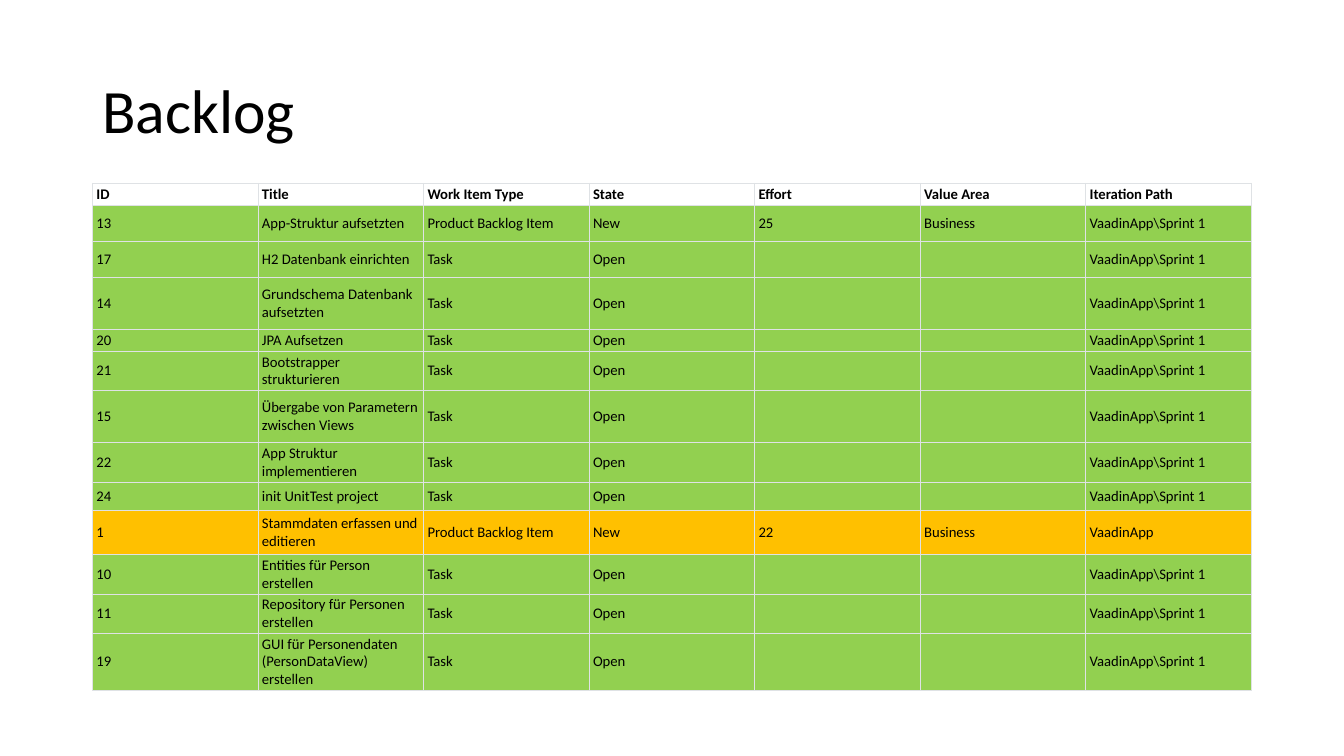
import pptx
import pptx.util
import pptx.dml.color
import pptx.enum.text
import pptx.oxml.ns
from lxml import etree

Cm, Pt = pptx.util.Cm, pptx.util.Pt
MIDDLE = pptx.enum.text.MSO_ANCHOR.MIDDLE
qn = pptx.oxml.ns.qn

FONT = "Calibri"
COLORS = {"text": "000000", "header": "FFFFFF", "sprint": "92D050",
          "unplanned": "FFC000", "border": "DFE2E5"}


def add_run(paragraph, text, size, bold=False):
    run = paragraph.add_run()
    run.text = text
    run.font.name = FONT
    run.font.size = Pt(size)
    run.font.bold = bold
    run.font.color.rgb = pptx.dml.color.RGBColor.from_string(COLORS["text"])


def add_borders(cell):
    properties = cell._tc.get_or_add_tcPr()
    for position, side in enumerate(("lnL", "lnR", "lnT", "lnB")):
        line = etree.Element(qn(f"a:{side}"), w=str(Pt(0.75)))
        fill = etree.SubElement(line, qn("a:solidFill"))
        etree.SubElement(fill, qn("a:srgbClr"), val=COLORS["border"])
        properties.insert(position, line)


# Slide
deck = pptx.Presentation()
deck.slide_width, deck.slide_height = Cm(33.87), Cm(19.05)
slide = deck.slides.add_slide(deck.slide_layouts[6])

# Heading
heading = slide.shapes.add_textbox(Cm(2.33), Cm(1.01), Cm(29.21), Cm(3.68)).text_frame
heading.word_wrap = True
heading.vertical_anchor = MIDDLE
heading.paragraphs[0].line_spacing = 0.9
add_run(heading.paragraphs[0], "Backlog", 44)

# Backlog items: row height in cm, ID, title
SPRINT = r"VaadinApp\Sprint 1"
items = [
    (0.91, "13", "App-Struktur aufsetzten"),
    (0.91, "17", "H2 Datenbank einrichten"),
    (1.32, "14", "Grundschema Datenbank aufsetzten"),
    (0.51, "20", "JPA Aufsetzen"),
    (0.91, "21", "Bootstrapper strukturieren"),
    (1.32, "15", "Übergabe von Parametern zwischen Views"),
    (0.91, "22", "App Struktur implementieren"),
    (0.71, "24", "init UnitTest project"),
    (1.12, "1", "Stammdaten erfassen und editieren"),
    (0.71, "10", "Entities für Person erstellen"),
    (0.91, "11", "Repository für Personen erstellen"),
    (1.32, "19", "GUI für Personendaten (PersonDataView) erstellen"),
]
# Every item is an open task in the sprint, except these
product_items = {
    "13": ("Product Backlog Item", "New", "25", "Business", SPRINT),
    "1": ("Product Backlog Item", "New", "22", "Business", "VaadinApp"),
}
task = ("Task", "Open", "", "", SPRINT)

rows = [(0.51, "header", ("ID", "Title", "Work Item Type", "State", "Effort",
                          "Value Area", "Iteration Path"))]
for height, item_id, title in items:
    details = product_items.get(item_id, task)
    status = "sprint" if details[-1] == SPRINT else "unplanned"
    rows.append((height, status, (item_id, title, *details)))

# Backlog table
total_height = sum(height for height, _, _ in rows)
backlog = slide.shapes.add_table(len(rows), 7, Cm(2.33), Cm(4.62),
                                 Cm(29.21), Cm(total_height)).table
backlog.first_row = backlog.horz_banding = False
for column in backlog.columns:
    column.width = Cm(29.21 / 7)

for row, (height, status, values) in enumerate(rows):
    backlog.rows[row].height = Cm(height)
    for column, value in enumerate(values):
        cell = backlog.cell(row, column)
        cell.vertical_anchor = MIDDLE
        cell.margin_left = cell.margin_right = Cm(0.1)
        cell.margin_top = cell.margin_bottom = Cm(0.05)
        cell.fill.solid()
        cell.fill.fore_color.rgb = pptx.dml.color.RGBColor.from_string(COLORS[status])
        add_borders(cell)
        paragraph = cell.text_frame.paragraphs[0]
        if value:
            add_run(paragraph, value, 10.5, bold=status == "header")
        else:
            # Keeps empty cells from stretching the short rows
            etree.SubElement(paragraph._p, qn("a:endParaRPr"), sz="1050")

deck.save("out.pptx")
